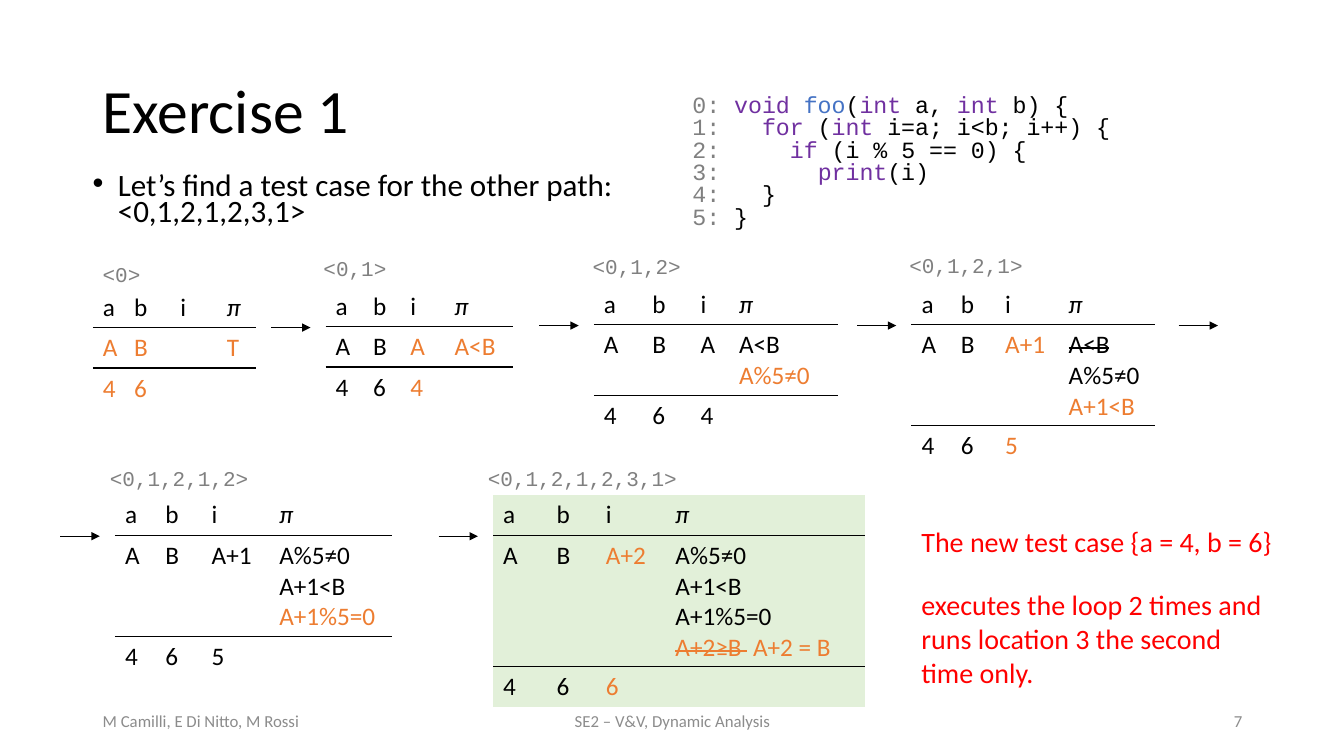
"""Build the symbolic execution exercise slide."""
from dataclasses import dataclass
from typing import NamedTuple

from lxml import etree
from pptx import Presentation
from pptx import util as u
from pptx.dml.color import RGBColor
from pptx.enum import shapes, text
from pptx.oxml import ns

PX = 9144


@dataclass(frozen=True)
class Theme:
    """Hold the colours, fonts and type sizes of the slide."""
    ink: str = "000000"
    fresh: str = "ED7D31"
    muted: str = "808080"
    footer: str = "8C8C8C"
    keyword: str = "7030A0"
    function: str = "4472C4"
    alert: str = "FF0000"
    final: str = "E2F0D9"
    sans: str = "Calibri"
    mono: str = "Courier New"
    title_size: float = 44
    body_size: float = 22.2
    note_size: float = 20
    cell_size: float = 18
    code_size: float = 16.6
    label_size: float = 15
    footer_size: float = 12


class State(NamedTuple):
    """Describe one symbolic state; label is (left, top, width)."""
    trace: str
    label: tuple
    left: int
    top: int
    columns: tuple
    symbols: tuple
    values: tuple
    fill: str = ""


THEME = Theme()

CODE = [
    [("void ", THEME.keyword), ("foo", THEME.function), ("(", THEME.ink), ("int", THEME.keyword),
     (" a, ", THEME.ink), ("int", THEME.keyword), (" b) {", THEME.ink)],
    [("  for ", THEME.keyword), ("(", THEME.ink), ("int ", THEME.keyword),
     ("i=a; i<b; i++) {", THEME.ink)],
    [("    if", THEME.keyword), (" (i % 5 == 0) {", THEME.ink)],
    [("      print", THEME.keyword), ("(i)", THEME.ink)],
    [("  }", THEME.ink)],
    [("}", THEME.ink)],
]

STATES = [
    State("<0>", (92, 255, 93), 92, 285, (31, 46, 46, 39),
          ("*A", "*B", "", "*T"), ("*4", "*6", "", "")),
    State("<0,1>", (311, 249, 93), 323, 284, (37, 37, 44, 68),
          ("A", "B", "*A", "*A<B"), ("4", "6", "*4", "")),
    State("<0,1,2>", (578, 247, 123), 589, 282, (48, 48, 38, 108),
          ("A", "B", "A", "A<B\n*A%5≠0"), ("4", "6", "4", "")),
    State("<0,1,2,1>", (892, 246, 161), 904, 282, (39, 44, 63, 96),
          ("A", "B", "*A+1", "~A<B\nA%5≠0\n*A+1<B"), ("4", "6", "*5", "")),
    State("<0,1,2,1,2>", (99, 457, 161), 114, 491, (40, 46, 67, 122),
          ("A", "B", "A+1", "A%5≠0\nA+1<B\n*A+1%5=0"), ("4", "6", "5", "")),
    State("<0,1,2,1,2,3,1>", (474, 457, 242), 489, 491, (53, 49, 69, 198),
          ("A", "B", "*A+2", "A%5≠0\nA+1<B\nA+1%5=0\n~*A+2≥B |* A+2 = B"),
          ("4", "6", "*6", ""), THEME.final),
]


def style(font, name, size, colour):
    """Set the typeface, size and colour of a font."""
    font.name = name
    font.size = u.Pt(size)
    font.color.rgb = RGBColor.from_string(colour)


def add_text(slide, box, wording, size, colour=THEME.ink, name=THEME.sans,
             anchor=text.MSO_ANCHOR.TOP, align=text.PP_ALIGN.LEFT):
    """Add a wrapped text box in one style and return its paragraph."""
    shape = slide.shapes.add_textbox(*(value * PX for value in box))
    frame = shape.text_frame
    frame.word_wrap = True
    frame.vertical_anchor = anchor
    frame.text = wording
    paragraph = frame.paragraphs[0]
    paragraph.alignment = align
    for run in paragraph.runs:
        style(run.font, name, size, colour)
    return paragraph


def add_bullet(paragraph, indent):
    """Give a paragraph a hanging round bullet."""
    properties = paragraph._p.get_or_add_pPr()
    properties.set("marL", str(indent * PX))
    properties.set("indent", str(-indent * PX))
    etree.SubElement(properties, ns.qn("a:buFont"), typeface="Arial")
    etree.SubElement(properties, ns.qn("a:buChar"), char="•")


def add_code(slide, box, lines):
    """Add a numbered code listing with coloured tokens."""
    shape = slide.shapes.add_textbox(*(value * PX for value in box))
    frame = shape.text_frame
    frame.word_wrap = True
    frame.text = "\n".join(f"{number}: " for number in range(len(lines)))
    for paragraph, tokens in zip(frame.paragraphs, lines):
        paragraph.line_spacing = 0.8
        style(paragraph.runs[0].font, THEME.mono, THEME.code_size, THEME.muted)
        for wording, colour in tokens:
            run = paragraph.add_run()
            run.text = wording
            style(run.font, THEME.mono, THEME.code_size, colour)


def add_arrow(slide, left, y):
    """Add a short arrow pointing right."""
    arrow = slide.shapes.add_connector(
        shapes.MSO_CONNECTOR.STRAIGHT, left * PX, y * PX, (left + 39) * PX, y * PX)
    arrow.line.width = u.Pt(0.5)
    arrow.line.color.rgb = RGBColor.from_string(THEME.ink)
    properties = arrow._element.spPr
    etree.SubElement(properties.find(ns.qn("a:ln")), ns.qn("a:tailEnd"), type="triangle")
    etree.SubElement(properties, ns.qn("a:effectLst"))


def add_border(cell, side):
    """Draw a one-point rule on one side of a cell."""
    line = etree.SubElement(cell._tc.get_or_add_tcPr(), ns.qn(f"a:{side}"), w=str(u.Pt(1)))
    fill = etree.SubElement(line, ns.qn("a:solidFill"))
    etree.SubElement(fill, ns.qn("a:srgbClr"), val=THEME.ink)


def fill_cell(cell, wording):
    """Write cell lines whose runs, split by |, are marked * for fresh and ~ for struck."""
    lines = wording.split("\n") if wording else []
    cell.text_frame.text = "\n" * (len(lines) - 1)
    for paragraph, line in zip(cell.text_frame.paragraphs, lines):
        for piece in line.split("|"):
            run = paragraph.add_run()
            run.text = piece.lstrip("~*")
            marks = piece[:len(piece) - len(run.text)]
            style(run.font, THEME.sans, THEME.cell_size,
                  THEME.fresh if "*" in marks else THEME.ink)
            run.font.italic = piece == "π"
            if "~" in marks:
                run._r.get_or_add_rPr().set("strike", "sngStrike")


def add_state(slide, state):
    """Add the table of one symbolic state with its trace label."""
    rows = (("a", "b", "i", "π"), state.symbols, state.values)
    table = slide.shapes.add_table(
        len(rows), len(state.columns), state.left * PX, state.top * PX,
        sum(state.columns) * PX, len(rows) * 36 * PX).table
    table.first_row = table.horz_banding = False
    table._tbl.tblPr.find(ns.qn("a:tableStyleId")).text = "{2D5ABB26-0587-4C30-8999-92F81FD0307C}"
    for column, width in zip(table.columns, state.columns):
        column.width = width * PX
    for row, wordings in enumerate(rows):
        for column, wording in enumerate(wordings):
            cell = table.cell(row, column)
            fill_cell(cell, wording)
            if row > 0:
                add_border(cell, "lnT")
            if row < len(rows) - 1:
                add_border(cell, "lnB")
            if state.fill:
                cell.fill.solid()
                cell.fill.fore_color.rgb = RGBColor.from_string(state.fill)
            else:
                cell.fill.background()
    add_text(slide, (*state.label, 35), state.trace, THEME.label_size, THEME.muted, THEME.mono)


def main():
    """Build and save the slide."""
    presentation = Presentation()
    presentation.slide_width, presentation.slide_height = u.Inches(13.33), u.Inches(7.5)
    slide = presentation.slides.add_slide(presentation.slide_layouts[6])
    middle, align = text.MSO_ANCHOR.MIDDLE, text.PP_ALIGN
    for left, width, wording, side in (
            (92, 300, "M Camilli, E Di Nitto, M Rossi", align.LEFT),
            (442, 450, "SE2 – V&V, Dynamic Analysis", align.CENTER),
            (942, 300, "7", align.RIGHT)):
        add_text(slide, (left, 695, width, 40), wording, THEME.footer_size, THEME.footer,
                 anchor=middle, align=side)
    title = add_text(slide, (92, 40, 1150, 145), "Exercise 1", THEME.title_size, anchor=middle)
    title.line_spacing = 0.9
    task = add_text(slide, (82, 169, 1150, 64),
                    "Let’s find a test case for the other path:\v<0,1,2,1,2,3,1>", THEME.body_size)
    task.line_spacing = 0.7
    add_bullet(task, 25)
    add_code(slide, (677, 90, 474, 153), CODE)
    for state in STATES:
        add_state(slide, state)
    for state in STATES[1:]:
        add_arrow(slide, state.left - 54, state.top + 41)
    add_arrow(slide, 1169, 323)
    add_text(slide, (904, 515, 370, 145),
             "The new test case {a = 4, b = 6} \vexecutes the loop 2 times and "
             "\vruns location 3 the second time only.", THEME.note_size, THEME.alert)
    presentation.save("out.pptx")


if __name__ == "__main__":
    main()
